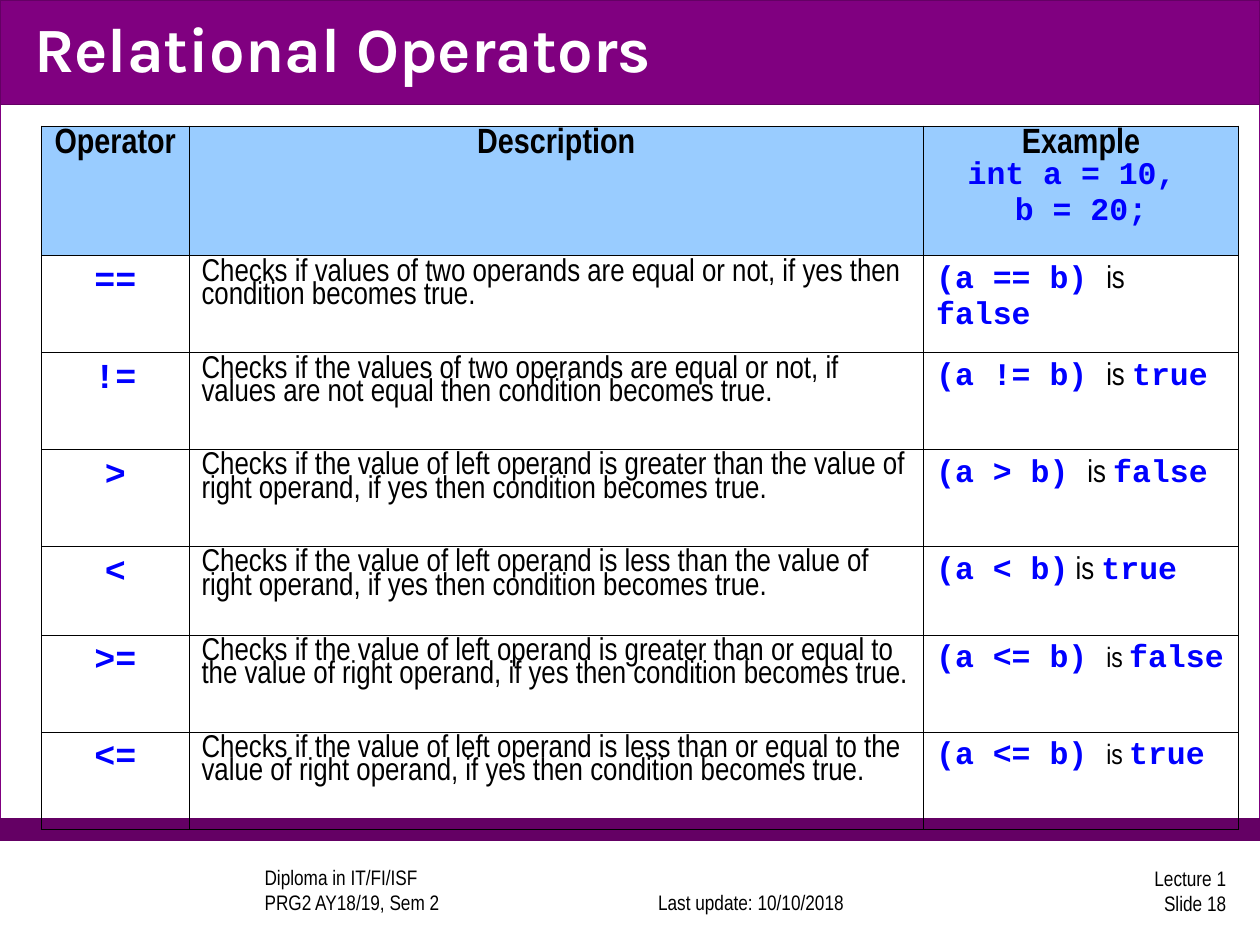
from dataclasses import dataclass

from lxml import etree
from pptx import Presentation
from pptx.dml.color import RGBColor
from pptx.enum.shapes import MSO_SHAPE
from pptx.enum.text import MSO_ANCHOR, MSO_AUTO_SIZE, PP_ALIGN
from pptx.oxml.ns import qn
from pptx.util import Inches, Pt

RECTANGLE = MSO_SHAPE.RECTANGLE
LEFT, CENTER, RIGHT = PP_ALIGN.LEFT, PP_ALIGN.CENTER, PP_ALIGN.RIGHT
MIDDLE, BOTTOM = MSO_ANCHOR.MIDDLE, MSO_ANCHOR.BOTTOM
NO_FIT = MSO_AUTO_SIZE.NONE


@dataclass(frozen=True)
class Theme:
    """Colours, fonts and type sizes of the slide."""
    white: str = "FFFFFF"
    black: str = "000000"
    purple: str = "800080"
    plum: str = "640064"
    sky: str = "99CCFF"
    blue: str = "0000FF"
    title_font: str = "Karla"
    body_font: str = "Arial Narrow"
    code_font: str = "Courier New"
    title: int = 36
    heading: int = 20
    body: int = 18
    small: int = 16
    footer: int = 12
    border: float = 0.45
    tight: float = 0.8


THEME = Theme()
HEADINGS = ["Operator", "Description", "Example"]
SETUP = "int a = 10, \vb = 20;"
OPERATORS = [
    ("==", "Checks if values of two operands are equal or not, if yes then condition becomes true.",
     "(a == b) ", "is ", "false", THEME.body),
    ("!=", "Checks if the values of two operands are equal or not, if values are not equal then condition becomes true.",
     "(a != b) ", "is ", "true", THEME.body),
    (">", "Checks if the value of left operand is greater than the value of right operand, if yes then condition becomes true.",
     "(a > b) ", "is ", "false", THEME.body),
    ("<", "Checks if the value of left operand is less than the value of right operand, if yes then condition becomes true.",
     "(a < b)", " is ", "true", THEME.body),
    (">=", "Checks if the value of left operand is greater than or equal to the value of right operand, if yes then condition becomes true.",
     "(a <= b) ", "is ", "false", THEME.small),
    ("<=", "Checks if the value of left operand is less than or equal to the value of right operand, if yes then condition becomes true.",
     "(a <= b) ", "is ", "true", THEME.small),
]


def style(font, size, color=THEME.black, name=THEME.body_font, bold=False):
    """Apply typeface, size, colour and weight to a font."""
    font.size, font.name, font.bold = Pt(size), name, bold
    font.color.rgb = RGBColor.from_string(color)


def style_code(font, size=THEME.body):
    """Apply the bold blue code style to a font."""
    style(font, size, THEME.blue, THEME.code_font, True)


def write(paragraph, text, align, size, bold=False, spacing=None):
    """Fill a paragraph with body text in one style."""
    paragraph.text = text
    paragraph.alignment = align
    paragraph.line_spacing = spacing
    for run in paragraph.runs:
        style(run.font, size, bold=bold)


def write_code(paragraph, text, size):
    """Fill a paragraph with centred code."""
    paragraph.text = text
    paragraph.alignment = CENTER
    for run in paragraph.runs:
        style_code(run.font, size)


def add_band(slide, box, fill, line):
    """Draw one full-width outlined rectangle."""
    band = slide.shapes.add_shape(RECTANGLE, *map(Inches, box))
    band.shadow.inherit = False
    band.fill.solid()
    band.fill.fore_color.rgb = RGBColor.from_string(fill)
    band.line.color.rgb = RGBColor.from_string(line)
    band.line.width = Pt(0.75)
    return band


def add_background(slide, width, height):
    """Draw the content panel with its lower and upper bands."""
    panel = add_band(slide, (0, 0, width, height), THEME.white, THEME.purple)
    color = panel.fill._xPr.find(qn("a:solidFill"))[0]
    etree.SubElement(color, qn("a:alpha"), val="90000")
    add_band(slide, (0, height - 0.17, width, 0.17), THEME.plum, THEME.plum)
    add_band(slide, (0, 0, width, 0.83), THEME.purple, THEME.plum)


def add_title(slide, box):
    """Place the title placeholder over the upper band."""
    title = slide.shapes.title
    slide.shapes._spTree.append(title._element)
    title.left, title.top, title.width, title.height = map(Inches, box)
    frame = title.text_frame
    frame.text = "Relational Operators"
    frame.auto_size, frame.word_wrap = NO_FIT, True
    frame.vertical_anchor = MIDDLE
    frame.paragraphs[0].alignment = LEFT
    style(frame.paragraphs[0].runs[0].font, THEME.title, THEME.white, THEME.title_font, True)


def add_footer(slide, box, text, align, anchor, indent=0.1):
    """Place one footer note in its box."""
    frame = slide.shapes.add_textbox(*map(Inches, box)).text_frame
    frame.word_wrap = True
    frame.vertical_anchor = anchor
    frame.margin_left = Inches(indent)
    write(frame.paragraphs[0], text, align, THEME.footer)


def draw_borders(cell):
    """Give a cell thin black lines on all sides."""
    properties = cell._tc.get_or_add_tcPr()
    for index, side in enumerate(("a:lnL", "a:lnR", "a:lnT", "a:lnB")):
        line = etree.Element(qn(side), w=str(Pt(THEME.border)))
        fill = etree.SubElement(line, qn("a:solidFill"))
        etree.SubElement(fill, qn("a:srgbClr"), val=THEME.black)
        properties.insert(index, line)


def write_example(paragraph, condition, link, result, link_size):
    """Write a code condition, a linking word and its code result."""
    for text in (condition, link, result):
        run = paragraph.add_run()
        run.text = text
        if text == link:
            style(run.font, link_size)
        else:
            style_code(run.font)


def add_operator_table(slide, box):
    """Build the table of operators, descriptions and examples."""
    table = slide.shapes.add_table(len(OPERATORS) + 1, len(HEADINGS), *map(Inches, box)).table
    table.first_row = table.horz_banding = False
    for column, width in zip(table.columns, (1.17, 5.83, 2.5)):
        column.width = Inches(width)
    for row, height in zip(table.rows, (1.03, 0.77, 0.77, 0.77, 0.7, 0.77, 0.77)):
        row.height = Inches(height)
    for cell in table.iter_cells():
        cell.fill.background()
        cell.margin_left = cell.margin_right = Inches(0.1)
        cell.margin_top = cell.margin_bottom = Inches(0.05)
        draw_borders(cell)
    for column, heading in enumerate(HEADINGS):
        cell = table.cell(0, column)
        cell.fill.solid()
        cell.fill.fore_color.rgb = RGBColor.from_string(THEME.sky)
        write(cell.text_frame.paragraphs[0], heading, CENTER, THEME.heading, True, THEME.tight)
    write_code(table.cell(0, 2).text_frame.add_paragraph(), SETUP, THEME.body)
    for row, (operator, description, *example) in enumerate(OPERATORS, 1):
        symbol, meaning, usage = (table.cell(row, c).text_frame.paragraphs[0] for c in range(3))
        write_code(symbol, operator, THEME.heading)
        write(meaning, description, LEFT, THEME.body, spacing=THEME.tight)
        write_example(usage, *example)


def main():
    """Build the slide and save it."""
    deck = Presentation()
    deck.slide_width, deck.slide_height = Inches(10), Inches(7.5)
    slide = deck.slides.add_slide(deck.slide_layouts[5])
    add_background(slide, 10, 6.67)
    add_footer(slide, (1.5, 6.89, 3.17, 0.42), "Diploma in IT/FI/ISF\vPRG2 AY18/19, Sem 2", LEFT, BOTTOM, 0.6)
    add_footer(slide, (4.92, 6.89, 2.08, 0.42), "Last update: 10/10/2018", CENTER, BOTTOM)
    add_footer(slide, (7.75, 6.86, 2.08, 0.42), "Lecture 1\vSlide 18", RIGHT, MIDDLE)
    add_title(slide, (0.17, 0, 9.83, 0.75))
    add_operator_table(slide, (0.33, 1, 9.5, 5.57))
    deck.save("out.pptx")


if __name__ == "__main__":
    main()
